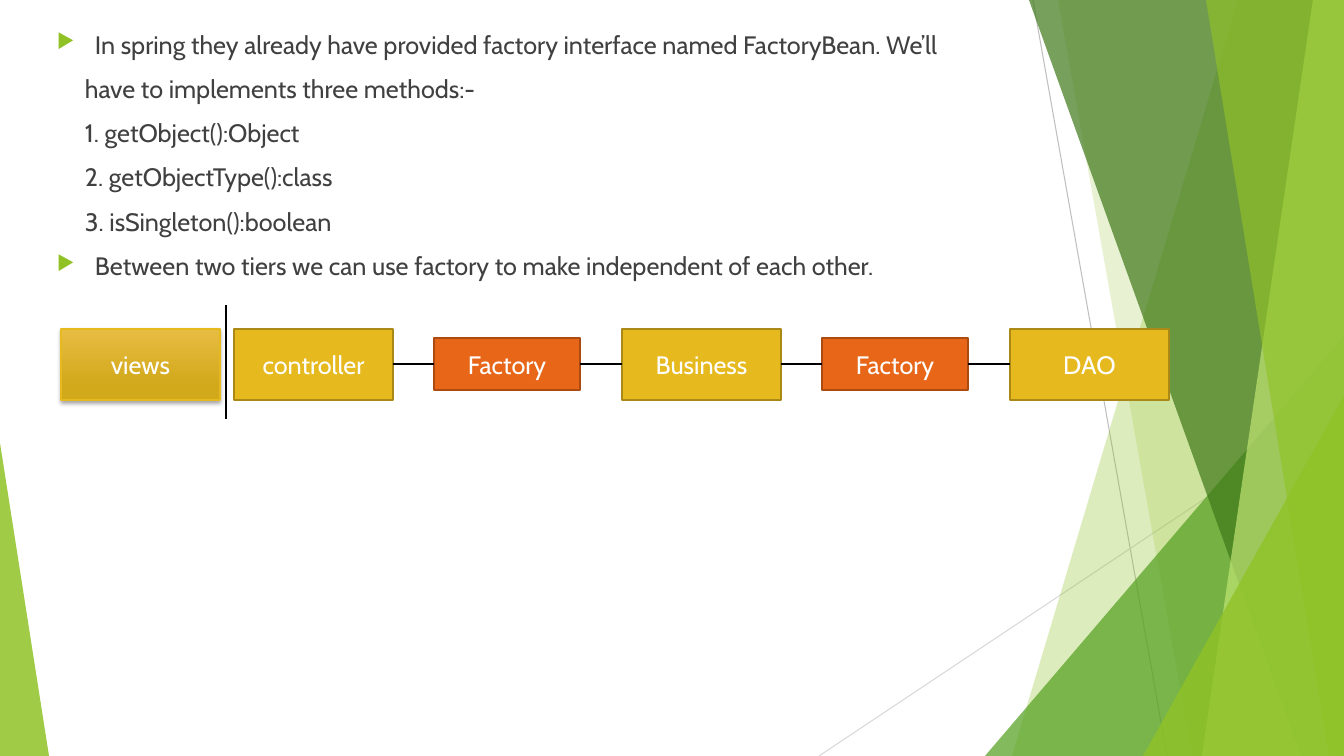
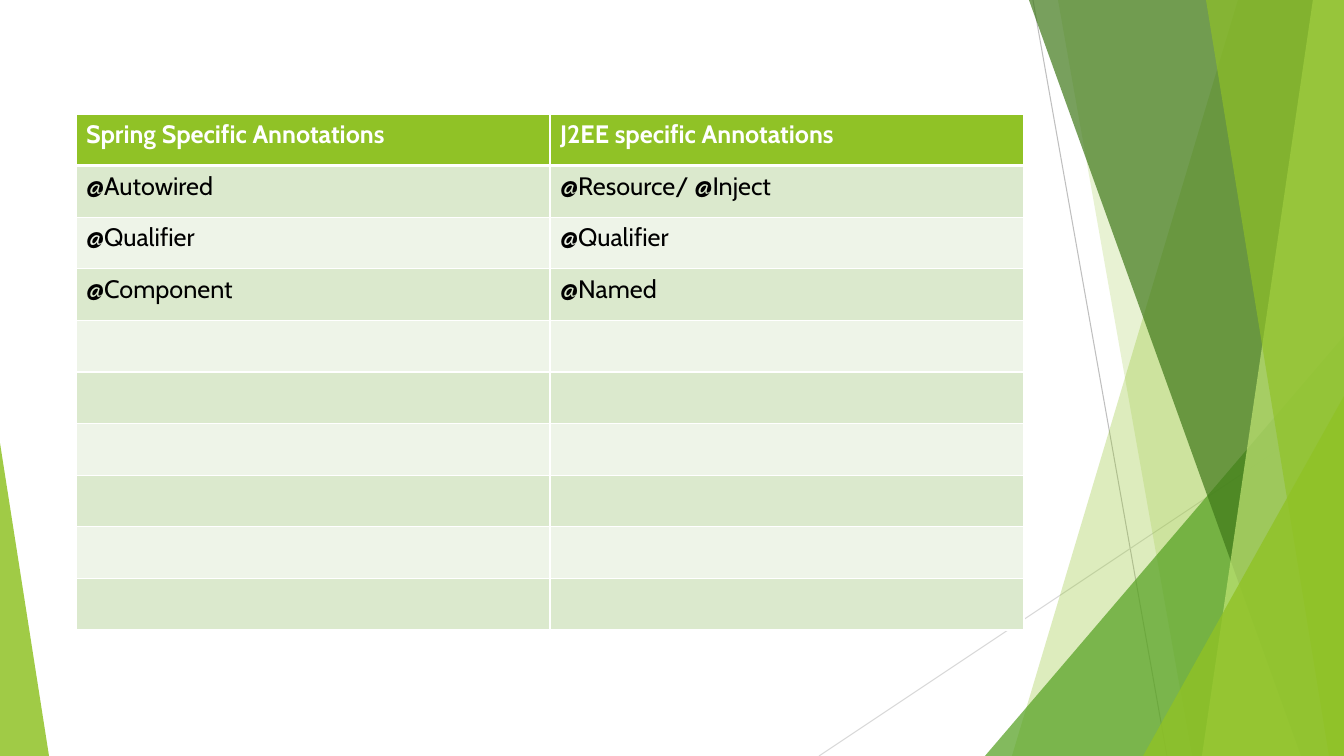
from lxml.etree import SubElement
from pptx import Presentation
from pptx.dml.color import RGBColor
from pptx.enum.shapes import MSO_CONNECTOR, MSO_SHAPE
from pptx.enum.text import MSO_ANCHOR, PP_ALIGN
from pptx.oxml import parse_xml
from pptx.oxml.ns import nsdecls, qn
from pptx.util import Pt

SLIDE_W, SLIDE_H = 1344, 756
SCALE = 12192000 / SLIDE_W  # EMU in one px

FONT = "Cabin"
WHITE, BLACK, BODY = "FFFFFF", "000000", "404040"
GREEN, MID_GREEN, DARK_GREEN, PALE_GREEN = "90C226", "54A021", "3F7819", "C0E474"
GOLD, GOLD_EDGE = "E6B91E", "AA8916"
ORANGE, ORANGE_EDGE = "E76618", "AB4B12"
BANDS = ["EEF4E8", "DBE9CD"]


def px(n):
    return round(n * SCALE)


def rgb(value):
    return RGBColor.from_string(value)


def write(p, text, size=18, color=BODY, bold=False, align=None, before=0):
    """Put one formatted run into a paragraph."""
    p.alignment = align
    p.space_before = Pt(before)
    r = p.add_run()
    r.text = text
    r.font.name, r.font.size, r.font.bold = FONT, Pt(size), bold
    r.font.color.rgb = rgb(color)


class Deck:
    # Back to front: facets as (top x, bottom x), corners as (left, top, apex side)
    DECOR = [
        ("facet", (1238, 1012), GREEN, 30),
        ("facet", (1058, 1192), GREEN, 20),
        ("corner", (985, 336, 1), MID_GREEN, 72),
        ("facet", (1029, 1301), DARK_GREEN, 70),
        ("facet", (1313, 1202), PALE_GREEN, 70),
        ("facet", (1206, 1329), GREEN, 65),
        ("corner", (1143, 396, 1), GREEN, 80),
        ("corner", (49, 443, 0), GREEN, 85),
    ]

    def __init__(self):
        self.prs = Presentation()
        self.prs.slide_width, self.prs.slide_height = px(SLIDE_W), px(SLIDE_H)
        self.s = None

    def slide(self):
        """Start a slide with the shared green facets."""
        self.s = self.prs.slides.add_slide(self.prs.slide_layouts[6])
        self.line(1033, 0, 1167, SLIDE_H, "BFBFBF", 0.75)
        self.line(SLIDE_W, 406, 819, SLIDE_H, "D9D9D9", 0.75)
        for kind, place, color, alpha in self.DECOR:
            sp = getattr(self, kind)(*place)
            self.paint(sp, color, alpha=alpha)

    def paint(self, sp, fill, edge=None, width=1.5, alpha=None):
        sp.shadow.inherit = False
        sp.fill.solid()
        sp.fill.fore_color.rgb = rgb(fill)
        if alpha is not None:
            clr = sp.fill._xPr.find(".//" + qn("a:srgbClr"))
            SubElement(clr, qn("a:alpha"), val=str(alpha * 1000))
        if edge:
            sp.line.color.rgb = rgb(edge)
            sp.line.width = Pt(width)
        else:
            sp.line.fill.background()

    def facet(self, top, bottom):
        """A panel from a slanted left side to the right slide edge."""
        fb = self.s.shapes.build_freeform(top, 0, scale=SCALE)
        fb.add_line_segments([(SLIDE_W, 0), (SLIDE_W, SLIDE_H), (bottom, SLIDE_H)])
        return fb.convert_to_shape()

    def corner(self, inner, top, apex):
        """A right triangle in a bottom corner, reaching in to x = inner."""
        left, width = (inner, SLIDE_W - inner) if apex else (0, inner)
        sp = self.s.shapes.add_shape(
            MSO_SHAPE.ISOSCELES_TRIANGLE, px(left), px(top), px(width), px(SLIDE_H - top))
        sp.adjustments[0] = apex
        return sp

    def line(self, x1, y1, x2, y2, color=BLACK, width=1):
        c = self.s.shapes.add_connector(
            MSO_CONNECTOR.STRAIGHT, px(x1), px(y1), px(x2), px(y2))
        c.line.color.rgb = rgb(color)
        c.line.width = Pt(width)
        SubElement(c._element.spPr, qn("a:effectLst"))

    def box(self, x, y, w, h, label, fill, edge, width=1.5):
        sp = self.s.shapes.add_shape(MSO_SHAPE.RECTANGLE, px(x), px(y), px(w), px(h))
        self.paint(sp, fill, edge, width)
        tf = sp.text_frame
        tf.vertical_anchor = MSO_ANCHOR.MIDDLE
        write(tf.paragraphs[0], label, color=WHITE, align=PP_ALIGN.CENTER)
        return sp

    def raise_box(self, sp, top, bottom):
        """Give a box a vertical gradient and a soft shadow."""
        sp.fill.gradient()
        sp.fill.gradient_angle = 270
        for stop, color, pos in zip(sp.fill.gradient_stops, (top, bottom), (0, 0.78)):
            stop.color.rgb = rgb(color)
            stop.position = pos
        effects = sp._element.spPr.find(qn("a:effectLst"))
        effects.append(parse_xml(
            f'<a:outerShdw {nsdecls("a")} blurRad="{Pt(3)}" dist="{Pt(2)}" dir="5400000"'
            ' rotWithShape="0"><a:srgbClr val="000000"><a:alpha val="35000"/>'
            '</a:srgbClr></a:outerShdw>'))

    def body(self, x, y, w, h, items):
        """Body text from (text, bulleted) pairs."""
        tf = self.s.shapes.add_textbox(px(x), px(y), px(w), px(h)).text_frame
        tf.word_wrap = True
        for i, (text, bulleted) in enumerate(items):
            p = tf.add_paragraph() if i else tf.paragraphs[0]
            write(p, text, before=10)
            pPr = p._p.get_or_add_pPr()
            pPr.set("marL", str(px(38 if bulleted else 28)))
            pPr.set("indent", str(px(-38 if bulleted else 0)))
            if bulleted:
                clr = SubElement(pPr, qn("a:buClr"))
                SubElement(clr, qn("a:srgbClr"), val=GREEN)
                SubElement(pPr, qn("a:buSzPct"), val="80000")
                SubElement(pPr, qn("a:buChar"), char="▶")

    def table(self, x, y, w, h, rows, count):
        """A banded table; rows beyond the given text stay empty."""
        cols = len(rows[0])
        t = self.s.shapes.add_table(count, cols, px(x), px(y), px(w), px(h)).table
        for i in range(count):
            for j in range(cols):
                cell = t.cell(i, j)
                cell.fill.solid()
                cell.fill.fore_color.rgb = rgb(BANDS[i % 2] if i else GREEN)
                if i < len(rows):
                    write(cell.text_frame.paragraphs[0], rows[i][j],
                          color=BLACK if i else WHITE, bold=i == 0)
                self.borders(cell, top=3 if i == 1 else 1, bottom=1 if i else 3)

    def borders(self, cell, top, bottom):
        tcPr = cell._tc.get_or_add_tcPr()
        for n, (side, width) in enumerate(zip("LRTB", (1, 1, top, bottom))):
            tcPr.insert(n, parse_xml(
                f'<a:ln{side} {nsdecls("a")} w="{Pt(width)}"><a:solidFill>'
                f'<a:srgbClr val="{WHITE}"/></a:solidFill></a:ln{side}>'))


def factory_slide(d):
    d.slide()
    d.body(47, 24, 1210, 648, [
        ("In spring they already have provided factory interface named FactoryBean. We’ll", True),
        ("have to implements three methods:-", False),
        ("1. getObject():Object", False),
        ("2. getObjectType():class", False),
        ("3. isSingleton():boolean", False),
        ("Between two tiers we can use factory to make independent of each other.", True),
    ])

    # Tiers, with a factory between each pair
    middle, step = 364, 388
    tier_x, tier_w, tier_h = 234, 159, 71
    factory_x, factory_w, factory_h = 434, 146, 52
    tier_y, factory_y = middle - tier_h // 2, middle - factory_h // 2
    views = d.box(61, tier_y, tier_w, tier_h, "views", GOLD, GOLD, 1)
    d.raise_box(views, "E7BC43", "D2A91B")
    for i, name in enumerate(["controller", "Business", "DAO"]):
        d.box(tier_x + i * step, tier_y, tier_w, tier_h, name, GOLD, GOLD_EDGE)
    for i in range(2):
        shift = i * step
        d.box(factory_x + shift, factory_y, factory_w, factory_h,
              "Factory", ORANGE, ORANGE_EDGE)
        d.line(tier_x + tier_w + shift, middle, factory_x + shift, middle)
        d.line(factory_x + factory_w + shift, middle, tier_x + step + shift, middle)

    # Divider between views and controller
    d.line(226, 305, 226, 419)


def annotations_slide(d):
    d.slide()
    d.table(76, 114, 948, 516, [
        ("Spring Specific Annotations", "J2EE specific Annotations"),
        ("@Autowired", "@Resource/ @Inject"),
        ("@Qualifier", "@Qualifier"),
        ("@Component", "@Named"),
    ], count=10)


def main():
    d = Deck()
    factory_slide(d)
    annotations_slide(d)
    d.prs.save("out.pptx")


if __name__ == "__main__":
    main()
